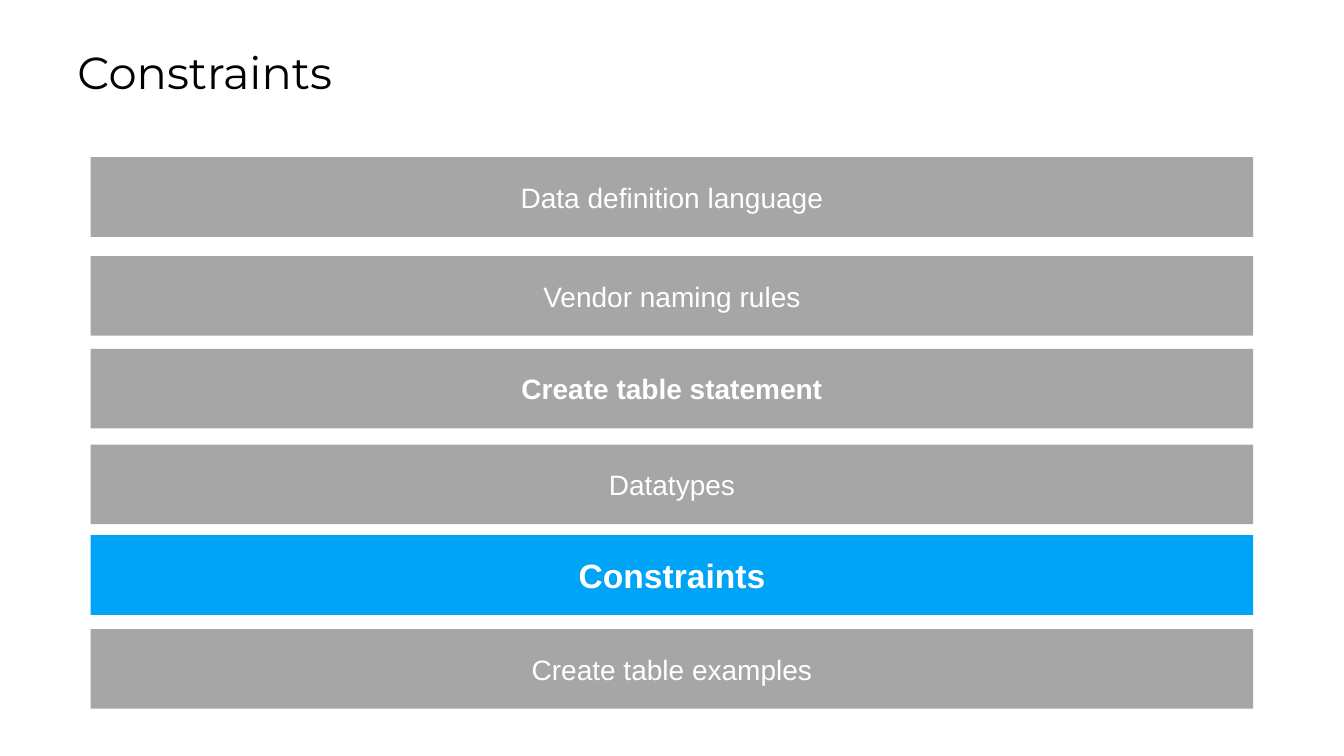
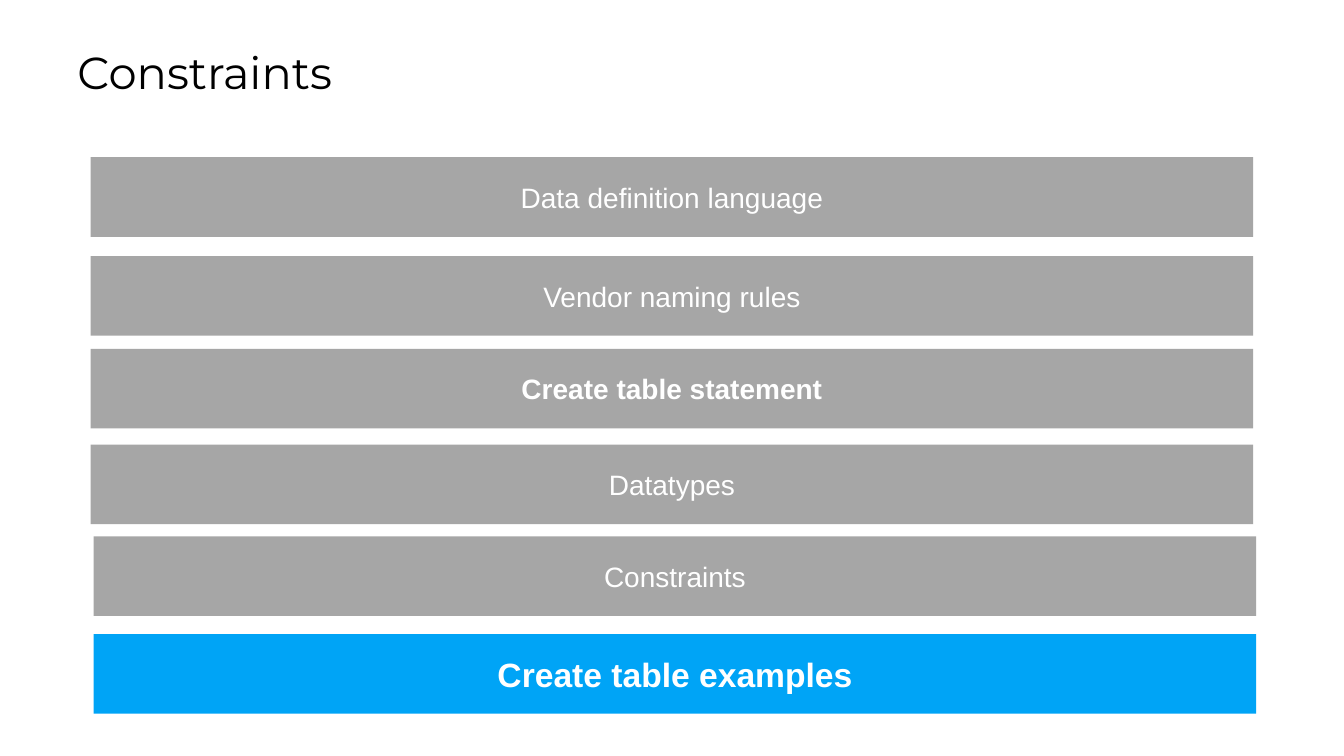
from dataclasses import dataclass

from pptx import Presentation
from pptx.dml.color import RGBColor
from pptx.enum.shapes import MSO_SHAPE
from pptx.enum.text import MSO_ANCHOR, MSO_AUTO_SIZE, PP_ALIGN
from pptx.util import Inches, Pt


@dataclass(frozen=True)
class Theme:
    background: RGBColor = RGBColor(0xFF, 0xFF, 0xFF)
    title_color: RGBColor = RGBColor(0x00, 0x00, 0x00)
    bar_text: RGBColor = RGBColor(0xFF, 0xFF, 0xFF)
    bar_fill: RGBColor = RGBColor(0xA6, 0xA6, 0xA6)
    active_fill: RGBColor = RGBColor(0x00, 0xA4, 0xF6)
    title_font: str = "Montserrat"
    bar_font: str = "Arial"
    title_size: int = 32
    bar_size: int = 20
    active_size: int = 24


BAR_LEFT = 0.9
BAR_WIDTH = 11.53
BAR_HEIGHT = 0.79

LEADING_TOPICS = [
    ("Data definition language", 1.56),
    ("Vendor naming rules", 2.54),
    ("Create table statement", 3.46),
    ("Datatypes", 4.41),
]
BOLD_TOPIC = "Create table statement"

AGENDAS = [
    ("Constraints", BAR_LEFT, [("Constraints", 5.31), ("Create table examples", 6.24)]),
    ("Create table examples", 0.93, [("Constraints", 5.32), ("Create table examples", 6.29)]),
]


class AgendaDeck:
    def __init__(self, theme):
        self.theme = theme
        self.presentation = Presentation()
        self.presentation.slide_width = Inches(13.33)
        self.presentation.slide_height = Inches(7.5)
        self.slide = None

    def add_slide(self, title):
        self.slide = self.presentation.slides.add_slide(self.presentation.slide_layouts[6])
        fill = self.slide.background.fill
        fill.solid()
        fill.fore_color.rgb = self.theme.background
        self.add_title(title)

    def set_text(self, shape, text, font_name, size, color, bold=False, alignment=PP_ALIGN.LEFT):
        frame = shape.text_frame
        frame.word_wrap = True
        frame.vertical_anchor = MSO_ANCHOR.MIDDLE
        paragraph = frame.paragraphs[0]
        paragraph.text = text
        paragraph.alignment = alignment
        font = paragraph.font
        font.name = font_name
        font.size = Pt(size)
        font.bold = bold
        font.color.rgb = color

    def add_title(self, text):
        box = self.slide.shapes.add_textbox(Inches(0.67), Inches(0.39), Inches(12.06), Inches(0.64))
        theme = self.theme
        self.set_text(box, text, theme.title_font, theme.title_size, theme.title_color)
        box.text_frame.auto_size = MSO_AUTO_SIZE.SHAPE_TO_FIT_TEXT

    def add_bar(self, text, left, top, active=False):
        theme = self.theme
        bar = self.slide.shapes.add_shape(
            MSO_SHAPE.RECTANGLE, Inches(left), Inches(top), Inches(BAR_WIDTH), Inches(BAR_HEIGHT)
        )
        bar.shadow.inherit = False
        bar.fill.solid()
        bar.fill.fore_color.rgb = theme.active_fill if active else theme.bar_fill
        bar.line.fill.background()
        size = theme.active_size if active else theme.bar_size
        bold = active or text == BOLD_TOPIC
        self.set_text(bar, text, theme.bar_font, size, theme.bar_text, bold, PP_ALIGN.CENTER)


def main():
    deck = AgendaDeck(Theme())
    for active_topic, closing_left, closing_topics in AGENDAS:
        deck.add_slide("Constraints")
        for topic, top in LEADING_TOPICS:
            deck.add_bar(topic, BAR_LEFT, top)
        for topic, top in closing_topics:
            deck.add_bar(topic, closing_left, top, topic == active_topic)
    deck.presentation.save("out.pptx")


if __name__ == "__main__":
    main()
